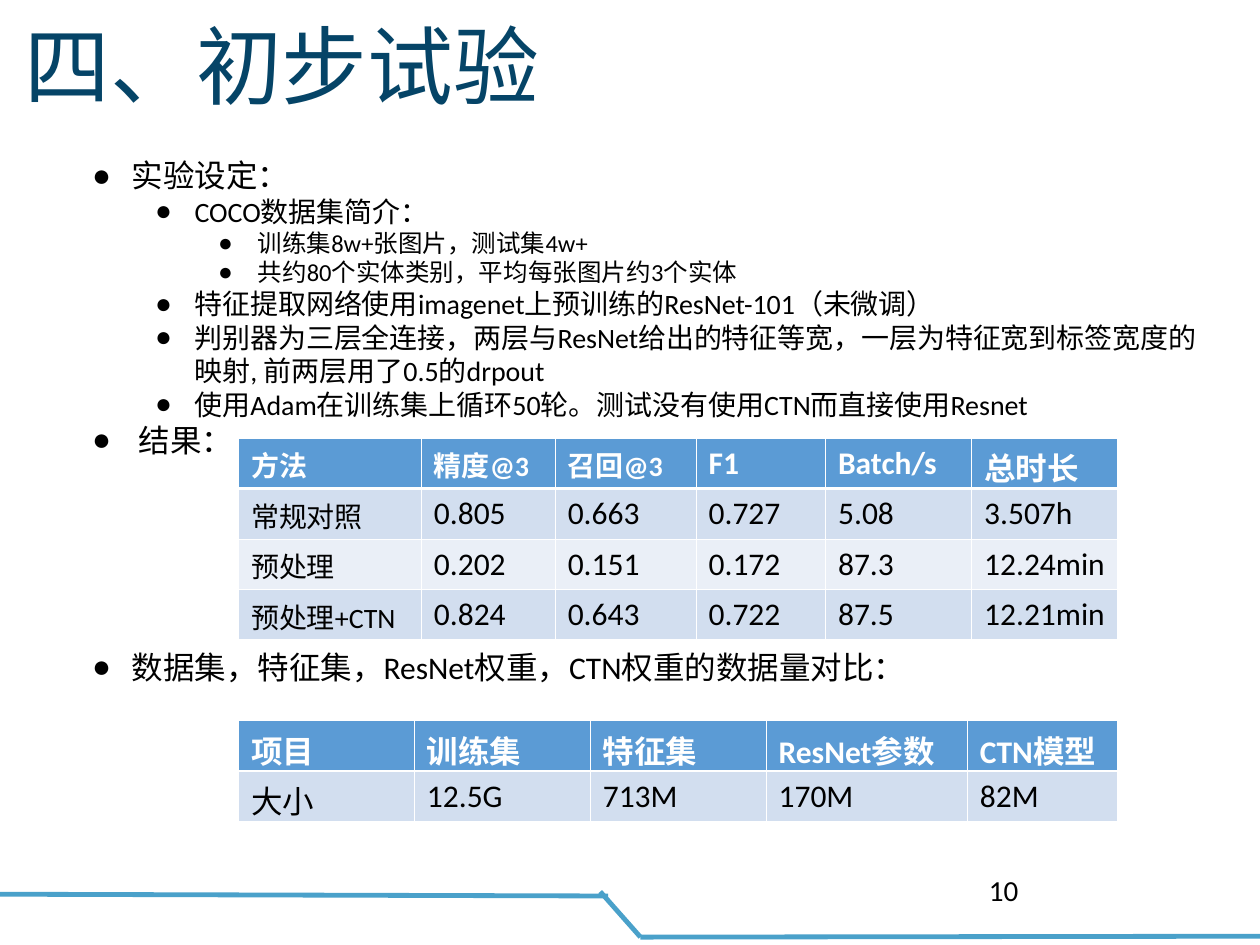
from lxml import etree
from pptx import Presentation
from pptx.dml.color import RGBColor
from pptx.enum import shapes, text
from pptx.oxml import ns
from pptx.util import Pt

BLACK = RGBColor(0x00, 0x00, 0x00)
WHITE = RGBColor(0xFF, 0xFF, 0xFF)
NAVY = RGBColor(0x05, 0x44, 0x67)
SKY = RGBColor(0x4A, 0xA1, 0xCA)
HEADER_BLUE = RGBColor(0x5B, 0x9B, 0xD5)
BANDS = (RGBColor(0xD2, 0xDE, 0xEF), RGBColor(0xEA, 0xEF, 0xF7))
LATIN = "Calibri"
CJK = "Noto Sans CJK SC"

LEVEL_SIZES = (18, 16, 14)
HANG = 22.5
LEVEL_STEP = 36
THIN, THICK = 0.45, 1.47

# (level, wording, space before)
POINTS = [
    (0, "实验设定：", 0),
    (1, "COCO数据集简介：", 0),
    (2, "训练集8w+张图片，测试集4w+", 0),
    (2, "共约80个实体类别，平均每张图片约3个实体", 0),
    (1, "特征提取网络使用imagenet上预训练的ResNet-101（未微调）", 0),
    (1, "判别器为三层全连接，两层与ResNet给出的特征等宽，"
        "一层为特征宽到标签宽度的映射, 前两层用了0.5的drpout", 0),
    (1, "使用Adam在训练集上循环50轮。测试没有使用CTN而直接使用Resnet", 0),
    (0, " 结果：", 0),
    (0, "数据集，特征集，ResNet权重，CTN权重的数据量对比：", 108),
]
RESULTS = [
    ["方法", "精度@3", "召回@3", "F1", "Batch/s", "总时长"],
    ["常规对照", "0.805", "0.663", "0.727", "5.08", "3.507h"],
    ["预处理", "0.202", "0.151", "0.172", "87.3", "12.24min"],
    ["预处理+CTN", "0.824", "0.643", "0.722", "87.5", "12.21min"],
]
SMALL_RESULTS = {"方法", "精度@3", "召回@3", "常规对照", "预处理", "预处理+CTN"}
DATA_SIZES = [
    ["项目", "训练集", "特征集", "ResNet参数", "CTN模型"],
    ["大小", "12.5G", "713M", "170M", "82M"],
]


def place(shape, left, top, width, height):
    shape.left, shape.top = Pt(left), Pt(top)
    shape.width, shape.height = Pt(width), Pt(height)


def style(paragraph, size, color, bold=False, name=LATIN):
    font = paragraph.font
    font.size, font.bold, font.name = Pt(size), bold, name
    font.color.rgb = color


def add_bullet(paragraph, level):
    props = paragraph._p.get_or_add_pPr()
    props.set("marL", str(Pt(HANG + level * LEVEL_STEP)))
    props.set("indent", str(Pt(-HANG)))
    color = etree.SubElement(props, ns.qn("a:buClr"))
    etree.SubElement(color, ns.qn("a:srgbClr"), val=str(BLACK))
    etree.SubElement(props, ns.qn("a:buChar"), char="●")


def add_title(slide, box):
    title = slide.shapes.title
    place(title, *box)
    frame = title.text_frame
    frame.text = "四、初步试验"
    frame.word_wrap = True
    frame.auto_size = text.MSO_AUTO_SIZE.NONE
    frame.vertical_anchor = text.MSO_ANCHOR.MIDDLE
    heading = frame.paragraphs[0]
    heading.alignment = text.PP_ALIGN.LEFT
    style(heading, 49, NAVY, name=CJK)


def add_points(slide, box):
    body = slide.placeholders[1]
    place(body, *box)
    frame = body.text_frame
    frame.auto_size = text.MSO_AUTO_SIZE.NONE
    frame.vertical_anchor = text.MSO_ANCHOR.TOP
    for index, (level, wording, gap) in enumerate(POINTS):
        point = frame.add_paragraph() if index else frame.paragraphs[0]
        point.text = wording
        point.level = level
        add_bullet(point, level)
        point.space_before = Pt(gap)
        style(point, LEVEL_SIZES[level], BLACK)


def set_borders(cell, row):
    widths = {"lnL": THIN, "lnR": THIN,
              "lnT": THICK if row == 1 else THIN,
              "lnB": THICK if row == 0 else THIN}
    props = cell._tc.get_or_add_tcPr()
    for side, width in widths.items():
        line = etree.SubElement(props, ns.qn(f"a:{side}"), w=str(Pt(width)))
        fill = etree.SubElement(line, ns.qn("a:solidFill"))
        etree.SubElement(fill, ns.qn("a:srgbClr"), val=str(WHITE))


def add_data_table(slide, left, top, widths, row_height, rows, small=()):
    """Blue header over banded rows; wordings in small are set at 16 points."""
    table = slide.shapes.add_table(
        len(rows), len(widths), Pt(left), Pt(top),
        Pt(sum(widths)), Pt(row_height * len(rows))).table
    for column, width in zip(table.columns, widths):
        column.width = Pt(width)
    for r, wordings in enumerate(rows):
        table.rows[r].height = Pt(row_height)
        for c, wording in enumerate(wordings):
            cell = table.cell(r, c)
            set_borders(cell, r)
            cell.fill.solid()
            cell.fill.fore_color.rgb = BANDS[(r - 1) % 2] if r else HEADER_BLUE
            cell.text = wording
            style(cell.text_frame.paragraphs[0], 16 if wording in small else 18,
                  BLACK if r else WHITE, bold=r == 0)


def add_footer(slide, left, top, width, height):
    """Stepped rule along the bottom, with the page number above it."""
    step_left, step_right, bottom = left + 343.5, left + 366.5, top + 38
    for x1, y1, x2, y2 in (
            (left + width, bottom - 0.5, step_right, bottom),
            (left, top + 13.5, left + 348, top + 14.5),
            (step_left, top + 12, step_right, bottom)):
        rule = slide.shapes.add_connector(
            shapes.MSO_CONNECTOR.STRAIGHT, Pt(x1), Pt(y1), Pt(x2), Pt(y2))
        rule.line.color.rgb = SKY
        rule.line.width = Pt(2.75)
        etree.SubElement(rule._element.spPr, ns.qn("a:effectLst"))
    number = slide.shapes.add_textbox(
        Pt(left + 558.5), Pt(top), Pt(162), Pt(height - 13.5))
    frame = number.text_frame
    frame.word_wrap = True
    frame.text = "10"
    frame.paragraphs[0].line_spacing = 0.9
    style(frame.paragraphs[0], 16.6, BLACK)


def main():
    deck = Presentation()
    deck.slide_width, deck.slide_height = Pt(720), Pt(540)
    slide = deck.slides.add_slide(deck.slide_layouts[1])
    add_footer(slide, -0.5, 497.5, 722, 42.5)
    add_title(slide, (7, 3.5, 320, 66))
    add_points(slide, (45.5, 85.8, 649.5, 353))
    add_data_table(slide, 136.3, 250.3, (104.5, 76.5, 80.5, 74, 83.5, 83.5),
                   28.8, RESULTS, SMALL_RESULTS)
    add_data_table(slide, 136.3, 411.7, (100.5, 100.5, 100.5, 115, 86),
                   28.8, DATA_SIZES)
    deck.save("out.pptx")


if __name__ == "__main__":
    main()
